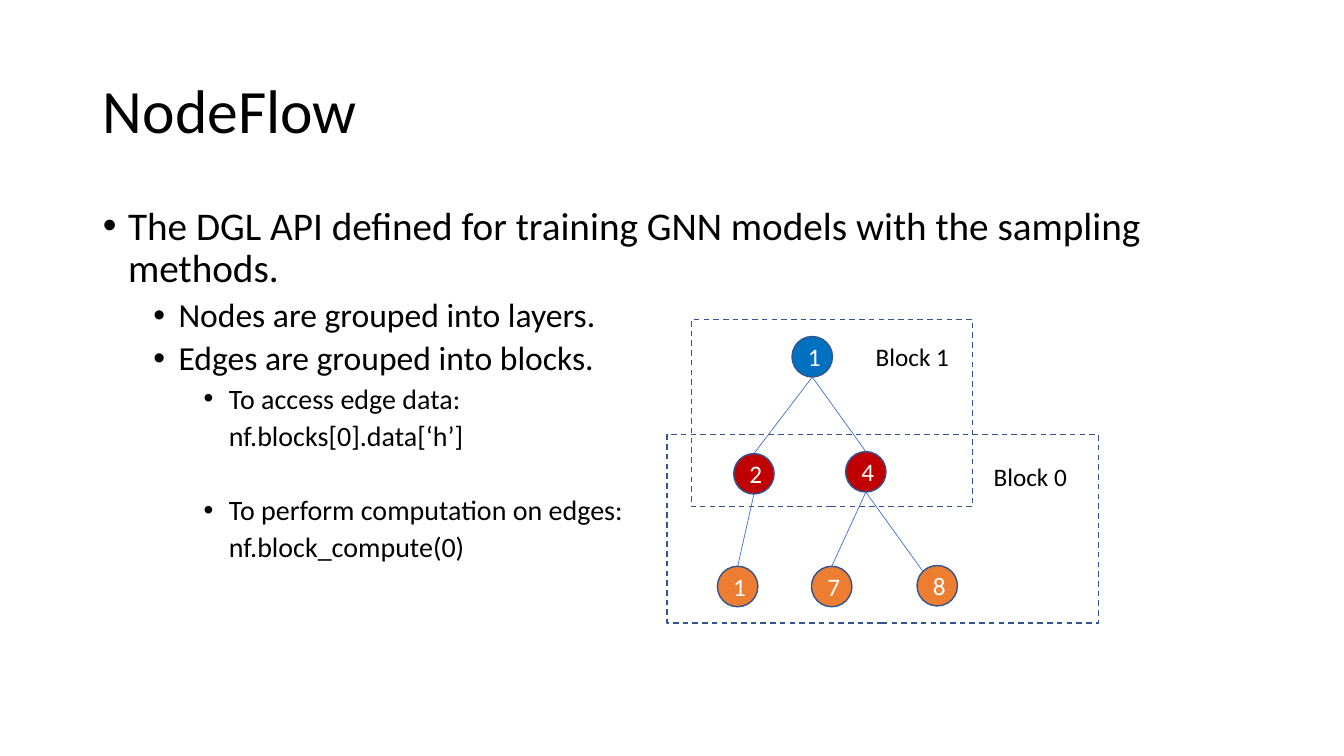
from math import sqrt

from lxml.etree import SubElement
from pptx import Presentation
from pptx.dml.color import RGBColor
from pptx.enum.dml import MSO_LINE_DASH_STYLE as Dash
from pptx.enum.shapes import MSO_CONNECTOR as Connector, MSO_SHAPE as Shape
from pptx.enum.text import MSO_ANCHOR as Anchor, MSO_AUTO_SIZE as AutoSize, PP_ALIGN as Align
from pptx.oxml.ns import qn
from pptx.util import Cm, Pt

FONT = "Calibri"
BLACK, WHITE, OUTLINE, EDGE = "000000", "FFFFFF", "325491", "4472C4"
BLUE, RED, ORANGE = "0070C0", "C00000", "ED7D31"
DIAMETER = 1.02

TITLE = "NodeFlow"
TITLE_AREA = (2.34, 1.02, 29.21, 3.68)
BODY_AREA = (2.34, 5.08, 29.21, 12.09)
LEVEL_SIZES = (28, 24, 20)
BULLETS = [
    (0, True, 0, "The DGL API defined for training GNN models with the sampling methods."),
    (1, True, 5, "Nodes are grouped into layers."),
    (1, True, 5, "Edges are grouped into blocks."),
    (2, True, 5, "To access edge data:"),
    (2, False, 5, "nf.blocks[0].data[‘h’]"),
    (2, True, 31.6, "To perform computation on edges:"),
    (2, False, 5, "nf.block_compute(0)"),
]
NODES = {
    "root": ("1", BLUE, 20.47, 8.99),
    "left": ("2", RED, 19.0, 11.94),
    "right": ("4", RED, 21.82, 11.89),
    "leaf 1": ("1", ORANGE, 18.59, 14.78),
    "leaf 7": ("7", ORANGE, 20.96, 14.78),
    "leaf 8": ("8", ORANGE, 23.62, 14.76),
}
EDGES = [
    ("root", "left", "top"),
    ("root", "right", "top"),
    ("left", "leaf 1", "top"),
    ("right", "leaf 7", "top"),
    ("right", "leaf 8", "corner"),
]
BLOCKS = [
    ("Block 1", (17.42, 8.05, 7.09, 4.72), (21.82, 8.48)),
    ("Block 0", (16.81, 10.95, 10.87, 4.75), (24.79, 11.51)),
]


def color(value):
    return RGBColor.from_string(value)


def lengths(values):
    return [Cm(value) for value in values]


def place(box, area):
    box.left, box.top, box.width, box.height = lengths(area)


def add_span(para, text, size, tint):
    span = para.add_run()
    span.text = text
    span.font.name = FONT
    span.font.size = Pt(size)
    span.font.color.rgb = color(tint)


def add_outlined(page, kind, area):
    box = page.shapes.add_shape(kind, *lengths(area))
    box.shadow.inherit = False
    box.line.color.rgb = color(OUTLINE)
    box.line.width = Pt(1)
    return box


def add_title(page):
    title = page.shapes.title
    place(title, TITLE_AREA)
    title.text_frame.vertical_anchor = Anchor.MIDDLE
    para = title.text_frame.paragraphs[0]
    para.alignment = Align.LEFT
    para.line_spacing = 0.9
    add_span(para, TITLE, 44, BLACK)


def add_bullets(page):
    body = page.placeholders[1]
    place(body, BODY_AREA)
    frame = body.text_frame
    frame.auto_size = AutoSize.NONE
    for index, (level, marked, gap, text) in enumerate(BULLETS):
        para = frame.add_paragraph() if index else frame.paragraphs[0]
        para.level = level
        para.line_spacing = 0.9
        para.space_before = Pt(gap)
        para.space_after = Pt(0)
        props = para._p.get_or_add_pPr()
        props.set("marL", str(Cm(0.635 + 1.27 * level)))
        props.set("indent", str(Cm(-0.635 if marked else 0)))
        if marked:
            SubElement(props, qn("a:buFont"), typeface="Arial")
            SubElement(props, qn("a:buChar"), char="•")
        else:
            SubElement(props, qn("a:buNone"))
        add_span(para, text, LEVEL_SIZES[level], BLACK)


def add_node(page, text, fill, x, y):
    radius = DIAMETER / 2
    node = add_outlined(page, Shape.OVAL, (x - radius, y - radius, DIAMETER, DIAMETER))
    node.fill.solid()
    node.fill.fore_color.rgb = color(fill)
    node.text_frame.vertical_anchor = Anchor.MIDDLE
    para = node.text_frame.paragraphs[0]
    para.alignment = Align.CENTER
    add_span(para, text, 18, WHITE)


def add_edge(page, parent, child, side):
    radius = DIAMETER / 2
    x1, y1 = NODES[parent][2:]
    x2, y2 = NODES[child][2:]
    reach = radius / sqrt(2)
    dx, dy = (0, radius) if side == "top" else (reach, reach)
    ends = lengths((x1, y1 + radius, x2 - dx, y2 - dy))
    edge = page.shapes.add_connector(Connector.STRAIGHT, *ends)
    edge.line.color.rgb = color(EDGE)
    edge.line.width = Pt(0.5)
    SubElement(edge._element.spPr, qn("a:effectLst"))


def add_block(page, text, area, corner):
    block = add_outlined(page, Shape.RECTANGLE, area)
    block.fill.background()
    block.line.dash_style = Dash.DASH
    label = page.shapes.add_textbox(*lengths((*corner, 2.39, 1.02)))
    label.text_frame.word_wrap = False
    label.text_frame.auto_size = AutoSize.SHAPE_TO_FIT_TEXT
    add_span(label.text_frame.paragraphs[0], text, 18, BLACK)


def main():
    deck = Presentation()
    deck.slide_width, deck.slide_height = Cm(33.87), Cm(19.05)
    page = deck.slides.add_slide(deck.slide_layouts[1])
    add_title(page)
    add_bullets(page)
    for node in NODES.values():
        add_node(page, *node)
    for edge in EDGES:
        add_edge(page, *edge)
    for block in BLOCKS:
        add_block(page, *block)
    deck.save("out.pptx")


if __name__ == "__main__":
    main()
